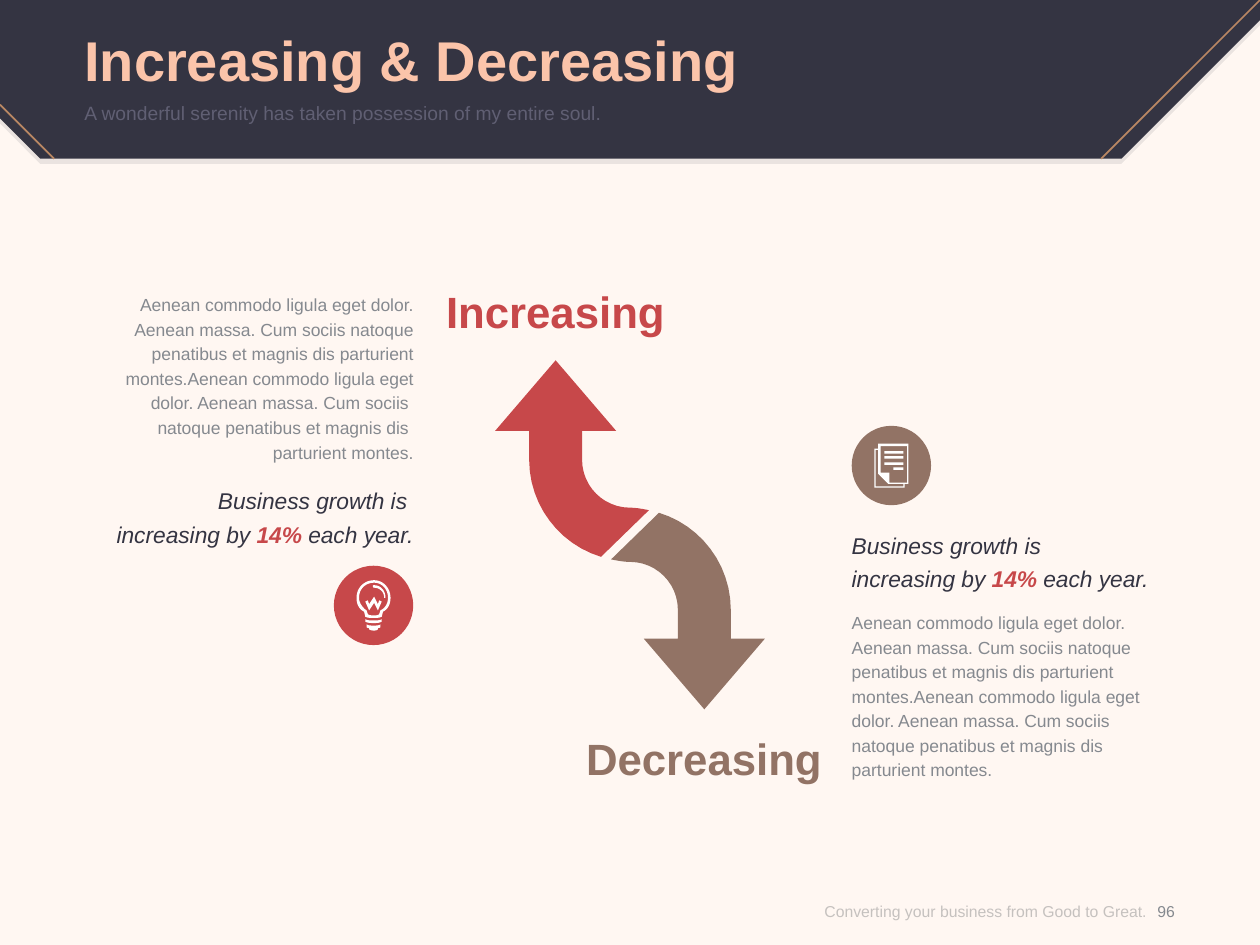
from dataclasses import dataclass

from lxml import etree
from pptx import Presentation
from pptx.dml.color import RGBColor
from pptx.enum import shapes, text
from pptx.oxml import ns
from pptx.util import Inches, Pt

COLUMNS, ROWS = 1000, 750
CELL = Inches(10) // COLUMNS
CURVE_STEPS = 12


@dataclass(frozen=True)
class Theme:
    """Colours and type sizes of the slide."""
    font: str = "Arial"
    paper: str = "FFF7F2"
    navy: str = "343442"
    peach: str = "FBC4AA"
    bronze: str = "B98763"
    muted: str = "605F73"
    red: str = "C7484A"
    brown: str = "927365"
    grey: str = "85898F"
    footer: str = "8C8C8C"
    white: str = "FFFFFF"
    title_size: int = 32
    label_size: int = 25
    headline_size: int = 13
    subtitle_size: int = 11
    body_size: int = 10
    footer_size: int = 9


THEME = Theme()
LEFT, CENTER, RIGHT = text.PP_ALIGN.LEFT, text.PP_ALIGN.CENTER, text.PP_ALIGN.RIGHT
STORY = (
    "Aenean commodo ligula eget dolor. Aenean massa. Cum sociis natoque penatibus et "
    "magnis dis parturient montes.Aenean commodo ligula eget dolor. Aenean massa. Cum sociis ",
    "natoque penatibus et magnis dis ",
    "parturient montes.",
)

BANNER = [[(890, 126), (32, 126), (0, 94), (0, 0), (1000, 0), (1000, 16)]]
ARROW = [[(122, 119), (84, 156), (51, 146, 27, 115, 27, 79), (27, 56), (0, 56), (48, 0),
          (96, 56), (69, 56), (69, 79), (69, 100, 86, 117, 107, 117),
          (112, 117, 117, 118, 122, 119)]]
BULB = [
    [(8, 35), (8, 37), (8, 37, 8, 38, 10, 38), (10, 39), (10, 39, 11, 40, 14, 40),
     (16, 40, 17, 39, 17, 39), (17, 38), (19, 38, 19, 37, 19, 37), (19, 35),
     (18, 36, 16, 36, 14, 36), (11, 36, 9, 36, 8, 35)],
    [(7, 31), (7, 33), (9, 34, 11, 34, 14, 34), (16, 34, 18, 34, 20, 33), (20, 31),
     (18, 32, 16, 32, 14, 32), (11, 32, 9, 32, 7, 31)],
    [(14, 0), (6, 0, 0, 6, 0, 14), (0, 19, 2, 23, 6, 25), (7, 29), (9, 30, 11, 30, 14, 30),
     (16, 30, 18, 30, 20, 29), (21, 25), (25, 23, 27, 19, 27, 14), (27, 6, 21, 0, 14, 0)],
    [(19, 24), (18, 27), (18, 27, 17, 28, 14, 28), (10, 28, 9, 27, 9, 27), (8, 24),
     (5, 22, 2, 18, 2, 14), (2, 7, 7, 2, 14, 2), (20, 2, 25, 7, 25, 14),
     (25, 18, 23, 22, 19, 24)],
    [(17, 19), (14, 13), (10, 19), (9, 16), (7, 17), (10, 24), (14, 18), (17, 24),
     (20, 17), (18, 16)],
    [(14, 4), (13, 4, 13, 4, 13, 5), (13, 5, 13, 6, 14, 6), (18, 6, 22, 9, 22, 14),
     (22, 14, 22, 14, 23, 14), (23, 8, 19, 4, 14, 4)],
]
PAGES = [
    [(3, 0), (3, 4), (0, 4), (0, 35), (24, 35), (24, 32), (27, 32), (27, 0)],
    [(23, 34), (1, 34), (1, 5), (3, 5), (3, 24), (11, 32), (23, 32)],
    [(26, 31), (12, 31), (12, 23), (5, 23), (5, 2), (26, 2)],
] + [[(start, top), (23, top), (23, top + 2), (start, top + 2)]
     for start, top in ((8, 6), (8, 10), (8, 15), (15, 19))]


def cells(*counts):
    """Turn grid counts into slide lengths."""
    return [round(count * CELL) for count in counts]


def rgb(colour):
    """Read a theme colour."""
    return RGBColor.from_string(colour)


def fade(element, percent):
    """Set the opacity of the solid colour inside an element."""
    colour = element.find(".//" + ns.qn("a:srgbClr"))
    etree.SubElement(colour, ns.qn("a:alpha")).set("val", str(percent * 1000))


def paint(shape, colour):
    """Give a shape a flat fill without line or shadow."""
    shape.shadow.inherit = False
    shape.fill.solid()
    shape.fill.fore_color.rgb = rgb(colour)
    shape.line.fill.background()
    return shape


def flatten(contour):
    """Turn corners and Bezier steps into a list of points."""
    points = [contour[0]]
    for step in contour[1:]:
        if len(step) == 2:
            points.append(step)
            continue
        knots = [points[-1], step[:2], step[2:4], step[4:]]
        for t in (i / CURVE_STEPS for i in range(1, CURVE_STEPS + 1)):
            weights = ((1 - t) ** 3, 3 * t * (1 - t) ** 2, 3 * t * t * (1 - t), t ** 3)
            points.append(tuple(sum(w * k[axis] for w, k in zip(weights, knots))
                                for axis in (0, 1)))
    return points


def outline(slide, box, contours, colour, turned=False):
    """Draw contours in a box, optionally turned by half a circle."""
    left, top, width, height = box
    builder = None
    for contour in contours:
        points = [cells(left + (width - x if turned else x), top + (height - y if turned else y))
                  for x, y in flatten(contour)]
        if builder is None:
            builder = slide.shapes.build_freeform(*points[0], scale=1.0)
        else:
            builder.move_to(*points[0])
        builder.add_line_segments(points[1:], close=True)
    return paint(builder.convert_to_shape(), colour)


def write(slide, box, paragraphs, size, align=LEFT, spacing=None, middle=False):
    """Write paragraphs of lines of (words, colour, bold, italic) runs."""
    frame = slide.shapes.add_textbox(*cells(*box)).text_frame
    frame.word_wrap = True
    frame.margin_left = frame.margin_right = frame.margin_top = frame.margin_bottom = 0
    frame.vertical_anchor = text.MSO_ANCHOR.MIDDLE if middle else text.MSO_ANCHOR.TOP
    for index, lines in enumerate(paragraphs):
        paragraph = frame.paragraphs[0] if index == 0 else frame.add_paragraph()
        paragraph.alignment = align
        if spacing:
            paragraph.line_spacing = Pt(spacing)
        for number, line in enumerate(lines):
            if number:
                paragraph.add_line_break()
            for words, colour, bold, italic in line:
                run = paragraph.add_run()
                run.text = words
                run.font.name, run.font.size = THEME.font, Pt(size)
                run.font.bold, run.font.italic = bold, italic
                run.font.color.rgb = rgb(colour)
    return frame


def phrase(words, colour, bold=False, italic=False):
    """Make a one-line paragraph of a single run."""
    return [[(words, colour, bold, italic)]]


def banner(slide, box):
    """Place the header band, its edge lines, title and subtitle."""
    left, top, width, height = box
    shade = outline(slide, (left, top + 4, width, height), BANNER, THEME.navy)
    fade(shade.fill._xPr, 10)
    outline(slide, box, BANNER, THEME.navy)
    bottom = top + height
    for start, end in (((left + width, top), (left + width - 126, bottom)),
                       ((left, bottom - 43), (left + 43, bottom))):
        edge = slide.shapes.add_connector(shapes.MSO_CONNECTOR.STRAIGHT, *cells(*start, *end))
        edge.line.color.rgb, edge.line.width = rgb(THEME.bronze), Pt(1)
        etree.SubElement(edge._element.spPr, ns.qn("a:effectLst"))
    write(slide, (left + 67, top + 14, width - 134, 65),
          [phrase("Increasing & Decreasing", THEME.peach, bold=True)],
          THEME.title_size, middle=True)
    write(slide, (left + 67, top + 80, width - 134, 39),
          [phrase("A wonderful serenity has taken possession of my entire soul.", THEME.muted)],
          THEME.subtitle_size)


def badge(slide, box, colour, glyph, glyph_size):
    """Place a round badge with a centred glyph."""
    left, top, width, height = box
    paint(slide.shapes.add_shape(shapes.MSO_SHAPE.OVAL, *cells(*box)), colour)
    wide, high = glyph_size
    outline(slide, (left + (width - wide) / 2, top + (height - high) / 2, wide, high),
            glyph, THEME.white)


def callout(slide, box, offsets, align, opening):
    """Place the story and the headline at their row offsets in a box."""
    left, top, width, _ = box
    story, headline = offsets
    write(slide, (left, top + story, width, 137),
          [[[(line, THEME.grey, False, False)] for line in STORY]],
          THEME.body_size, align, spacing=14)
    growth = [[("increasing by ", THEME.navy, False, True), ("14%", THEME.red, True, True),
               (" each year.", THEME.navy, False, True)]]
    write(slide, (left, top + headline, width, 53),
          [phrase(opening, THEME.navy, italic=True), growth],
          THEME.headline_size, align, spacing=19)


def arrows(slide, box):
    """Place the rising and falling arrows at opposite corners of a box."""
    left, top, width, height = box
    outline(slide, (left, top, 122, 156), ARROW, THEME.red)
    outline(slide, (left + width - 122, top + height - 156, 122, 156), ARROW,
            THEME.brown, turned=True)
    for words, colour, place, align in (
            ("Increasing", THEME.red, (left - 39, top - 60), LEFT),
            ("Decreasing", THEME.brown, (left - 2, top + height + 18), RIGHT)):
        write(slide, (*place, 261, 42), [phrase(words, colour, bold=True)],
              THEME.label_size, align)


def footer(slide, box):
    """Place the closing line and the page number."""
    left, top, width, height = box
    motto = write(slide, (left, top, width - 39, height),
                  [phrase("Converting your business from Good to Great.", THEME.footer)],
                  THEME.footer_size, RIGHT, middle=True)
    fade(motto.paragraphs[0].runs[0]._r, 50)
    write(slide, (left + width - 47, top, 47, height), [phrase("96", THEME.grey)],
          THEME.footer_size, CENTER, middle=True)


def main():
    """Build and save the slide."""
    deck = Presentation()
    deck.slide_width, deck.slide_height = cells(COLUMNS, ROWS)
    slide = deck.slides.add_slide(deck.slide_layouts[6])
    slide.background.fill.solid()
    slide.background.fill.fore_color.rgb = rgb(THEME.paper)
    banner(slide, (0, 0, COLUMNS, 126))
    footer(slide, (604, 696, 345, 54))
    badge(slide, (265, 449, 63, 63), THEME.red, BULB, (27, 40))
    badge(slide, (676, 338, 63, 63), THEME.brown, PAGES, (27, 35))
    arrows(slide, (393, 286, 214, 277))
    callout(slide, (67, 231, 261, 204), (0, 151), RIGHT, "Business growth is ")
    callout(slide, (676, 417, 261, 203), (66, 0), LEFT, "Business growth is")
    deck.save("out.pptx")


if __name__ == "__main__":
    main()
